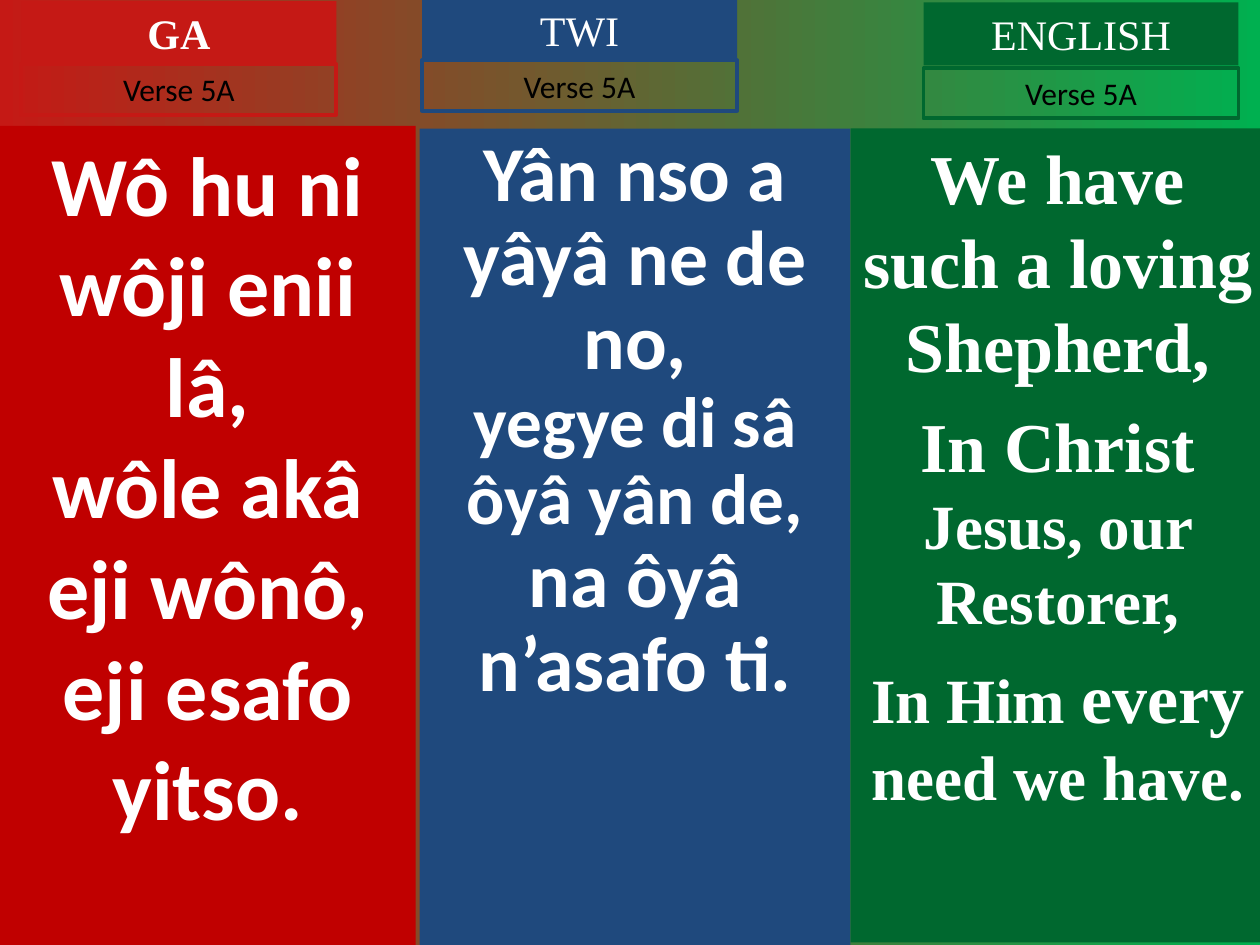
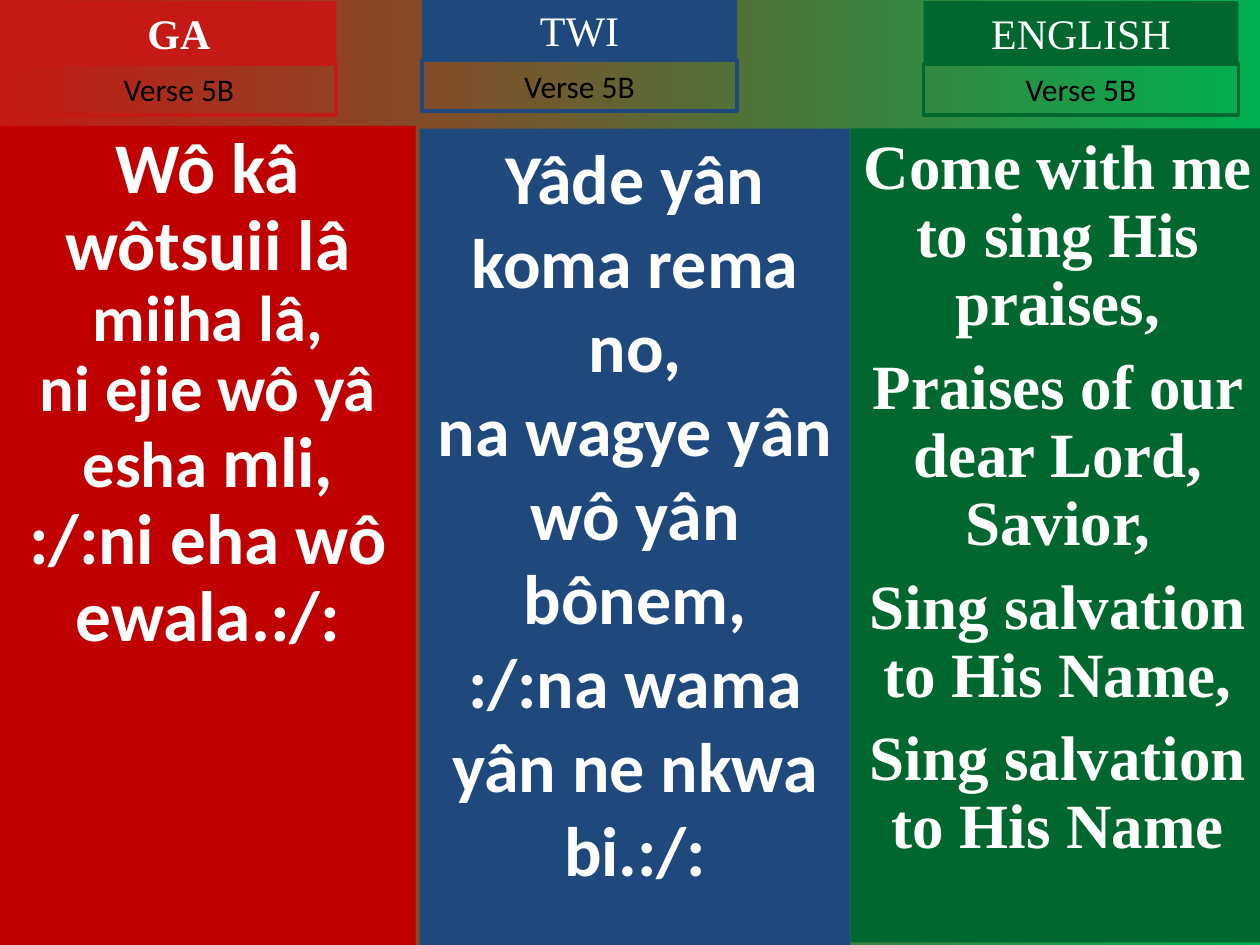
from dataclasses import dataclass

from pptx import Presentation
from pptx.dml.color import RGBColor
from pptx.enum.shapes import MSO_SHAPE as Shape
from pptx.enum.text import MSO_ANCHOR as Anchor, MSO_AUTO_SIZE as AutoSize, PP_ALIGN as Align
from pptx.util import Emu, Pt

PX = 9144  # EMU in one px, at 100 px to the inch


@dataclass(frozen=True)
class Theme:
    scarlet: str = "C51915"
    red: str = "C00000"
    blue: str = "1F497D"
    green: str = "00682F"
    bright_green: str = "00B050"
    white: str = "FFFFFF"
    black: str = "000000"
    sans: str = "Calibri"
    serif: str = "Times New Roman"
    heading_size: float = 24
    verse_size: float = 18
    frame_width: float = 2.25


THEME = Theme()


@dataclass(frozen=True)
class Language:
    name: str
    tab_color: str
    panel_color: str
    font: str
    panel: tuple
    tab_left: int
    bold_tab: bool = False


GA = Language("GA", THEME.scarlet, THEME.red, THEME.sans, (0, 100, 330, 650), 17, True)
TWI = Language("TWI", THEME.blue, THEME.blue, THEME.sans, (333, 102, 342, 648), 335)
ENGLISH = Language("ENGLISH", THEME.green, THEME.green, THEME.serif, (675, 102, 329, 646), 733)


@dataclass(frozen=True)
class Stanza:
    language: Language
    tab_top: int
    verse_top: int
    lines: list  # one list of (text, size) spans for each paragraph
    spacing: float = 1.0
    gap: float = 0


VERSES = {
    "Verse 5A": [
        Stanza(GA, 1, 51, [
            [("Wô hu ni wôji enii lâ,", 48)],
            [("wôle akâ eji wônô,", 48)],
            [("eji esafo yitso.", 48)],
        ]),
        Stanza(TWI, -1, 48, [
            [("Yân nso a yâyâ ne de no,", 44.4)],
            [("yegye di sâ ôyâ yân de,", 40.7)],
            [("na ôyâ n’asafo ti.", 44.4)],
        ], spacing=0.9),
        Stanza(ENGLISH, 2, 54, [
            [("We have such a loving Shepherd,", 40)],
            [("In Christ ", 40), ("Jesus, our Restorer,", 36)],
            [("In Him ", 36), ("every ", 40), ("need we have.", 36)],
        ], gap=9),
    ],
    "Verse 5B": [
        Stanza(GA, 1, 51, [
            [("Wô kâ wôtsuii lâ ", 40.7), ("miiha lâ,", 37)],
            [("ni ejie wô yâ esha ", 37), ("mli,", 40.7)],
            [(":/:ni eha wô ewala.:/:", 40.7)],
        ], spacing=0.9),
        Stanza(TWI, -1, 48, [
            [("Yâde yân koma rema no,", 40)],
            [("na wagye yân wô yân bônem,", 40)],
            [(":/:na wama yân ne nkwa bi.:/:", 40)],
        ]),
        Stanza(ENGLISH, 1, 51, [
            [("Come with me to sing His praises,", 36)],
            [("Praises of our dear Lord, Savior,", 36)],
            [("Sing salvation to His Name,", 36)],
            [("Sing salvation to His Name", 36)],
        ], spacing=0.9, gap=9),
    ],
}


def rgb(color):
    return RGBColor.from_string(color)


def paint_background(page):
    fill = page.background.fill
    fill.gradient()
    fill.gradient_angle = 0
    for stop, color in zip(fill.gradient_stops, (THEME.scarlet, THEME.bright_green)):
        stop.color.rgb = rgb(color)


def add_box(page, place, fill=None, line=None):
    box = page.shapes.add_shape(Shape.RECTANGLE, *(Emu(px * PX) for px in place))
    box.shadow.inherit = False
    if fill:
        box.fill.solid()
        box.fill.fore_color.rgb = rgb(fill)
    else:
        box.fill.background()
    if line:
        box.line.color.rgb = rgb(line)
        box.line.width = Pt(THEME.frame_width)
    else:
        box.line.fill.background()
    return box


def write_text(box, lines, *, font, color, bold=False, spacing=1.0, gap=0, grow=False):
    """Fill the box with centred paragraphs, each a list of (text, size) spans."""
    frame = box.text_frame
    frame.word_wrap = True
    frame.vertical_anchor = Anchor.TOP
    frame.auto_size = AutoSize.SHAPE_TO_FIT_TEXT if grow else AutoSize.NONE
    for index, spans in enumerate(lines):
        para = frame.add_paragraph() if index else frame.paragraphs[0]
        para.alignment = Align.CENTER
        para.line_spacing = spacing
        para.space_before = Pt(gap if index else 0)
        for text, size in spans:
            span = para.add_run()
            span.text = text
            span.font.size = Pt(size)
            span.font.name = font
            span.font.bold = bold
            span.font.color.rgb = rgb(color)


def add_panel(page, stanza):
    language = stanza.language
    panel = add_box(page, language.panel, fill=language.panel_color)
    write_text(panel, stanza.lines, font=language.font, color=THEME.white, bold=True,
               spacing=stanza.spacing, gap=stanza.gap)


def add_heading(page, stanza, verse):
    language = stanza.language
    tab = add_box(page, (language.tab_left, stanza.tab_top, 250, 50), fill=language.tab_color)
    write_text(tab, [[(language.name, THEME.heading_size)]], font=THEME.serif,
               color=THEME.white, bold=language.bold_tab, grow=True)
    label = add_box(page, (language.tab_left, stanza.verse_top, 250, 40), line=language.tab_color)
    write_text(label, [[(verse, THEME.verse_size)]], font=THEME.sans,
               color=THEME.black, grow=True)


def main():
    deck = Presentation()
    deck.slide_width, deck.slide_height = Emu(1000 * PX), Emu(750 * PX)
    blank = deck.slide_layouts[6]

    # One slide for each verse, one column for each language
    for verse, stanzas in VERSES.items():
        page = deck.slides.add_slide(blank)
        paint_background(page)
        for stanza in stanzas:
            add_panel(page, stanza)
            add_heading(page, stanza, verse)
    deck.save("out.pptx")


if __name__ == "__main__":
    main()
